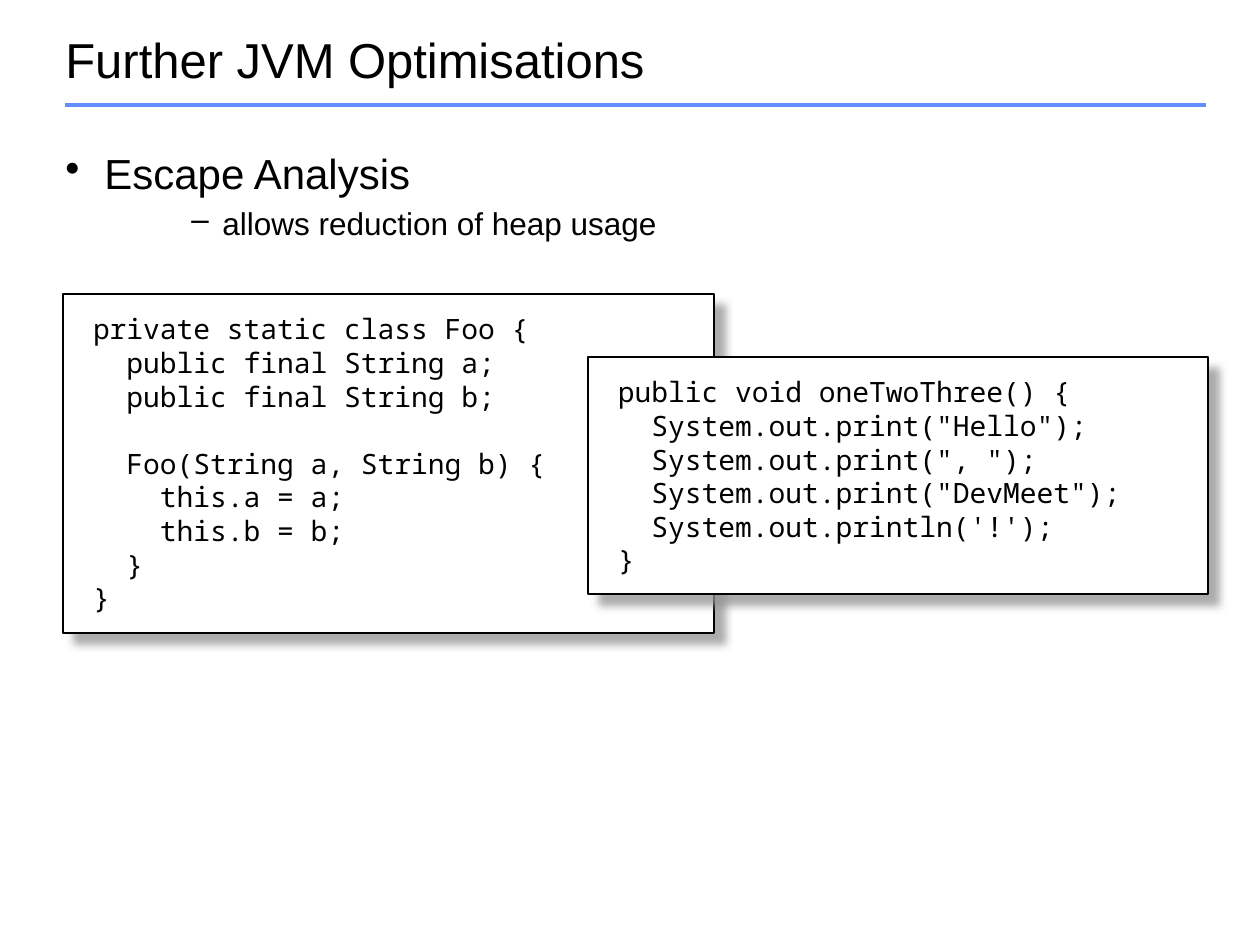
from lxml.etree import SubElement
from pptx import Presentation
from pptx.dml.color import RGBColor
from pptx.enum.shapes import MSO_CONNECTOR, MSO_SHAPE
from pptx.enum.text import MSO_ANCHOR, PP_ALIGN
from pptx.oxml.ns import qn
from pptx.util import Emu, Pt

SCALE = 914400 / 126
BLACK = RGBColor(0, 0, 0)
WHITE = RGBColor(255, 255, 255)
BLUE = RGBColor(0x61, 0x8F, 0xFD)
GREY = RGBColor(0x91, 0x91, 0x91)

FIELDS = """private static class Foo {
  public final String a;
  public final String b;

  Foo(String a, String b) {
    this.a = a;
    this.b = b;
  }
}"""
PRINTS = """public void oneTwoThree() {
  System.out.print("Hello");
  System.out.print(", ");
  System.out.print("DevMeet");
  System.out.println('!');
}"""


def px(n):
    return Emu(round(n * SCALE))


def style(para, font, size):
    para.font.name = font
    para.font.size = Pt(size)
    for run in para.runs:
        run.font.name = font
        run.font.size = Pt(size)
        run.font.color.rgb = BLACK


def add_text(slide, box, lines, anchor=MSO_ANCHOR.TOP):
    frame = slide.shapes.add_textbox(*map(px, box)).text_frame
    frame.word_wrap = True
    frame.vertical_anchor = anchor
    frame.text = "\n".join(text for text, size in lines)
    for para, (text, size) in zip(frame.paragraphs, lines):
        para.line_spacing = 0.9
        style(para, "Arial", size)
    return frame.paragraphs


def add_bullet(para, mark, left, hang, level=0):
    para.level = level
    para.space_before = Pt(0.3 * para.font.size.pt)
    props = para._p.get_or_add_pPr()
    props.set("marL", str(px(left)))
    props.set("indent", str(-px(hang)))
    bullet = SubElement(props, qn("a:buChar"), char=mark)
    props.remove(bullet)
    props.insert_element_before(bullet, "a:tabLst", "a:defRPr", "a:extLst")


def add_rule(slide, left, right, y):
    rule = slide.shapes.add_connector(
        MSO_CONNECTOR.STRAIGHT, px(left), px(y), px(right), px(y))
    rule.line.color.rgb = BLUE
    rule.line.width = Pt(2)
    SubElement(rule._element.spPr, qn("a:effectLst"))


def add_shadow(shape):
    shape.shadow.inherit = False
    effects = shape._element.spPr.find(qn("a:effectLst"))
    shadow = SubElement(
        effects, qn("a:outerShdw"), blurRad=str(Pt(5)), dist=str(Pt(8.5)),
        dir=str(45 * 60000), algn="ctr", rotWithShape="0")
    color = SubElement(shadow, qn("a:srgbClr"), val=str(GREY))
    SubElement(color, qn("a:alpha"), val="75000")


def add_code(slide, box, code):
    panel = slide.shapes.add_shape(MSO_SHAPE.RECTANGLE, *map(px, box))
    panel.fill.solid()
    panel.fill.fore_color.rgb = WHITE
    panel.line.color.rgb = BLACK
    panel.line.width = Pt(0.75)
    add_shadow(panel)
    frame = panel.text_frame
    frame.word_wrap = True
    frame.vertical_anchor = MSO_ANCHOR.TOP
    frame.margin_left = px(30)
    frame.margin_top = px(18)
    frame.margin_bottom = px(14)
    frame.text = code
    for para in frame.paragraphs:
        para.alignment = PP_ALIGN.LEFT
        para.line_spacing = Pt(19.2)
        style(para, "Noto Sans Mono", 16)


def main():
    deck = Presentation()
    deck.slide_width, deck.slide_height = px(1260), px(945)
    slide = deck.slides.add_slide(deck.slide_layouts[6])
    add_rule(slide, 65, 1206, 105)
    add_text(slide, (53, 31, 1155, 63),
             [("Further JVM Optimisations", 28)], MSO_ANCHOR.MIDDLE)
    topic, detail = add_text(
        slide, (53, 147, 1155, 147),
        [("Escape Analysis", 24), ("allows reduction of heap usage", 18)])
    add_bullet(topic, "•", 39, 39)
    add_bullet(detail, "–", 157, 31, 1)
    add_code(slide, (63, 294, 651, 339), FIELDS)
    add_code(slide, (588, 357, 620, 237), PRINTS)
    deck.save("out.pptx")


main()
